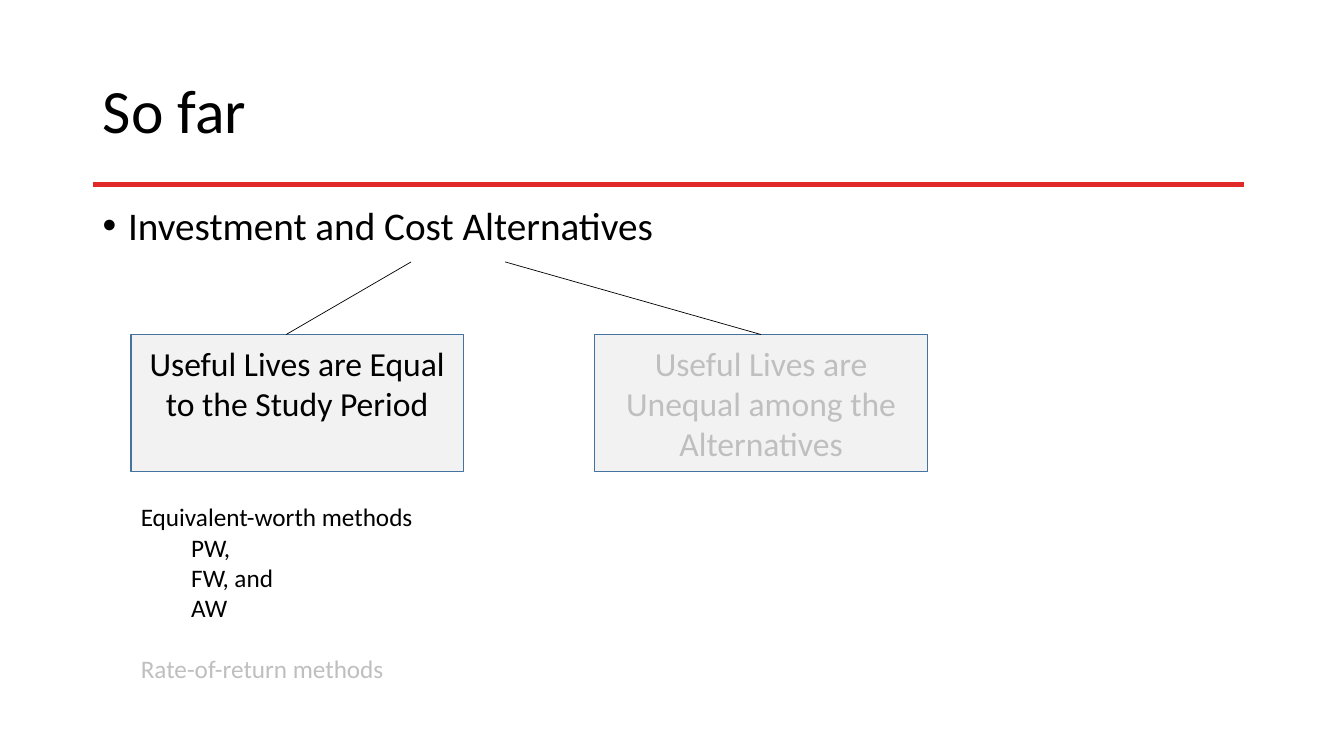
from pptx import Presentation
from pptx.dml.color import RGBColor
from pptx.enum.shapes import MSO_CONNECTOR, MSO_SHAPE
from pptx.enum.text import MSO_ANCHOR as Anchor, PP_ALIGN as Align
from pptx.oxml import parse_xml
from pptx.oxml.ns import nsdecls
from pptx.util import Cm, Pt

BLACK, GREY = "000000", "BFBFBF"


def style(p, size, color, align=Align.LEFT):
    p.alignment = align
    for r in p.runs:
        r.font.name = "Calibri"
        r.font.size = Pt(size)
        r.font.color.rgb = RGBColor.from_string(color)


def add_line(x1, y1, x2, y2, color, width):
    c = s.shapes.add_connector(MSO_CONNECTOR.STRAIGHT, Cm(x1), Cm(y1), Cm(x2), Cm(y2))
    c.line.color.rgb = RGBColor.from_string(color)
    c.line.width = Pt(width)
    c._element.spPr.append(parse_xml(f"<a:effectLst {nsdecls('a')}/>"))
    return c


prs = Presentation()
prs.slide_width, prs.slide_height = Cm(33.87), Cm(19.05)
s = prs.slides.add_slide(prs.slide_layouts[5])

add_line(2.34, 4.65, 31.34, 4.65, "E12927", 3)

title = s.shapes.title
title.left, title.top, title.width, title.height = Cm(2.34), Cm(1.02), Cm(29.21), Cm(3.68)
tf = title.text_frame
tf.text = "So far"
tf.vertical_anchor = Anchor.MIDDLE
tf.paragraphs[0].line_spacing = 0.9
style(tf.paragraphs[0], 44, BLACK)

topic = s.shapes.add_textbox(Cm(2.34), Cm(5.08), Cm(29.21), Cm(2.16))
tf = topic.text_frame
tf.word_wrap = True
p = tf.paragraphs[0]
p.text = "Investment and Cost Alternatives"
p.line_spacing = 0.9
p.space_before = Pt(10)
style(p, 28, BLACK)
pPr = p._p.get_or_add_pPr()
pPr.set("marL", str(Cm(0.64)))
pPr.set("indent", str(Cm(-0.64)))
pPr.append(parse_xml(f'<a:buFont {nsdecls("a")} typeface="Arial"/>'))
pPr.append(parse_xml(f'<a:buChar {nsdecls("a")} char="•"/>'))

cases = [
    (3.3, "Useful Lives are Equal to the Study Period", BLACK),
    (14.99, "Useful Lives are Unequal among the Alternatives", GREY),
]
boxes = []
for left, text, color in cases:
    box = s.shapes.add_shape(MSO_SHAPE.RECTANGLE, Cm(left), Cm(8.43), Cm(8.38), Cm(3.45))
    box.shadow.inherit = False
    box.fill.solid()
    box.fill.fore_color.rgb = RGBColor.from_string("F2F2F2")
    box.line.color.rgb = RGBColor.from_string("43739E")
    box.line.width = Pt(1)
    tf = box.text_frame
    tf.text = text
    tf.word_wrap = True
    tf.vertical_anchor = Anchor.TOP
    tf.margin_top = Cm(0.2)
    style(tf.paragraphs[0], 24, color, Align.CENTER)
    boxes.append(box)

methods = [
    ("Equivalent-worth methods", 0, 0, BLACK),
    ("PW,", 1.27, 0, BLACK),
    ("FW, and", 1.27, 0, BLACK),
    ("AW", 1.27, 0, BLACK),
    ("Rate-of-return methods", 0, 22, GREY),
]
tf = s.shapes.add_textbox(Cm(3.3), Cm(12.32), Cm(8.38), Cm(5.23)).text_frame
tf.word_wrap = True
tf.vertical_anchor = Anchor.MIDDLE
for i, (text, indent, gap, color) in enumerate(methods):
    p = tf.add_paragraph() if i else tf.paragraphs[0]
    p.text = text
    p.space_before = Pt(gap)
    p._p.get_or_add_pPr().set("marL", str(Cm(indent)))
    style(p, 18, color)

add_line(10.36, 6.6, 7.21, 8.43, BLACK, 0.5)
unequal_branch = add_line(12.73, 6.6, 19.18, 8.43, BLACK, 0.5)
unequal_branch.end_connect(boxes[1], 0)

prs.save("out.pptx")
